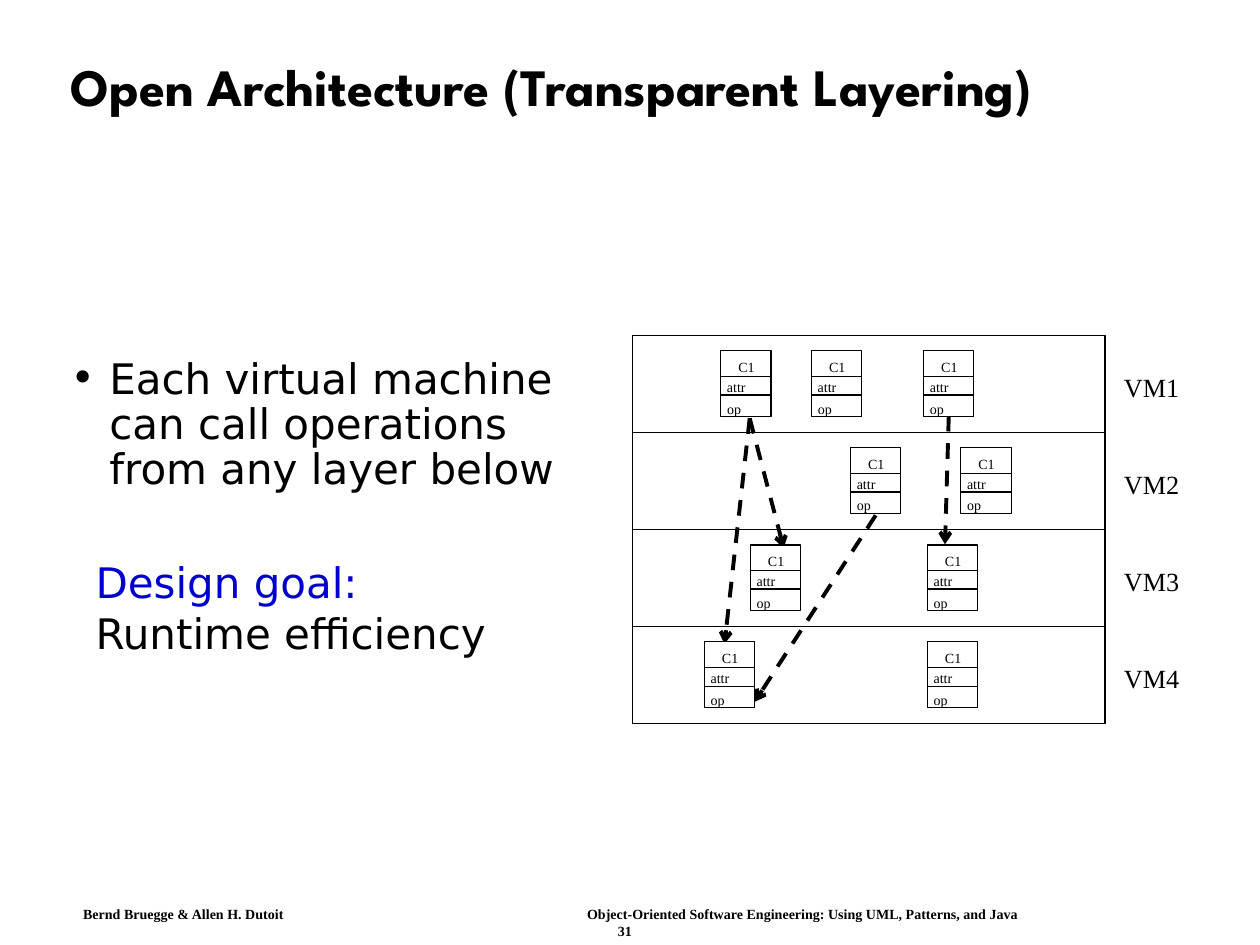
import pptx
import pptx.dml.color
import pptx.enum.dml
import pptx.enum.shapes
import pptx.enum.text
import pptx.oxml.ns
import pptx.util
from lxml import etree

COLUMNS, ROWS = 100, 75
CELL = pptx.util.Inches(10) // COLUMNS
COLORS = {"ink": "000000", "paper": "FFFFFF", "goal": "0000CC"}
SERIF, SANS, DISPLAY = "Times New Roman", "DejaVu Sans", "League Spartan"
ALIGN = pptx.enum.text.PP_ALIGN
FIT = pptx.enum.text.MSO_AUTO_SIZE

LAYER_LEFT, LAYER_TOP, LAYER_WIDTH, LAYER_HEIGHT = 50.2, 26.65, 37.5, 7.7
LAYERS = ["VM1", "VM2", "VM3", "VM4"]
CLASS_WIDTH, CLASS_HEIGHT, CLASS_DROP = 4, 5.2, 1.2
CLASS_COLUMNS = [[57.2, 73.3, 64.4], [67.5, 76.25], [59.55, 73.6], [55.9, 73.6]]
CLASS_DIVIDERS = [3.5, 2]
# text, column and row inside the class box, width, alignment
CLASS_LABELS = [("C1", 1.35, 0.6, 1.4, ALIGN.CENTER),
                ("attr", 0.5, 2.2, 1.6, ALIGN.LEFT),
                ("op", 0.5, 3.9, 1.2, ALIGN.LEFT)]
CALLS = [(75.3, 33, 75, 43.2), (59.5, 33.2, 62.2, 43.5),
         (59.5, 33.2, 57.5, 51.1), (69.5, 40.9, 59.9, 55.7)]


def grid(*cells):
    return [round(cell * CELL) for cell in cells]


def color(name):
    return pptx.dml.color.RGBColor.from_string(COLORS[name])


def style(para, size, font, ink="ink", bold=False):
    for span in para.runs:
        span.font.size = pptx.util.Pt(size)
        span.font.name = font
        span.font.bold = bold
        span.font.color.rgb = color(ink)


def set_insets(frame, left, top, right, bottom):
    (frame.margin_left, frame.margin_top,
     frame.margin_right, frame.margin_bottom) = grid(left, top, right, bottom)


def add_xml(parent, tag, **attributes):
    return etree.SubElement(parent, pptx.oxml.ns.qn(tag), attributes)


def add_text(shapes, area, text, insets=(1, 0.5, 1, 0.5)):
    """Add a wrapping text box and return its frame."""
    frame = shapes.add_textbox(*grid(*area)).text_frame
    frame.word_wrap = True
    frame.text = text
    set_insets(frame, *insets)
    return frame


def add_label(shapes, area, text, size, align=ALIGN.LEFT):
    """Add a one-line text box that hugs its text."""
    frame = add_text(shapes, area, text, (0, 0, 0, 0))
    frame.word_wrap = False
    frame.auto_size = FIT.SHAPE_TO_FIT_TEXT
    frame.paragraphs[0].alignment = align
    style(frame.paragraphs[0], size, SERIF)


def add_box(shapes, area, filled=False):
    box = shapes.add_shape(pptx.enum.shapes.MSO_SHAPE.RECTANGLE, *grid(*area))
    box.shadow.inherit = False
    if filled:
        box.fill.solid()
        box.fill.fore_color.rgb = color("paper")
    else:
        box.fill.background()
    box.line.color.rgb = color("ink")
    box.line.width = pptx.util.Pt(0.62)


def add_line(shapes, ends, width=0.62):
    line = shapes.add_connector(pptx.enum.shapes.MSO_CONNECTOR.STRAIGHT, *grid(*ends))
    line.line.color.rgb = color("ink")
    line.line.width = pptx.util.Pt(width)
    add_xml(line._element.spPr, "a:effectLst")
    return line


def add_call(shapes, ends):
    """Add a dashed arrow from a caller to the class it calls."""
    arrow = add_line(shapes, ends, 2.25)
    arrow.line.dash_style = pptx.enum.dml.MSO_LINE.DASH
    add_xml(arrow.line._get_or_add_ln(), "a:tailEnd", type="arrow")


def add_class(page, left, top):
    shapes = page.shapes.add_group_shape().shapes
    add_box(shapes, (left, top, CLASS_WIDTH, CLASS_HEIGHT), filled=True)
    for drop in CLASS_DIVIDERS:
        add_line(shapes, (left, top + drop, left + CLASS_WIDTH, top + drop))
    for text, across, down, width, align in CLASS_LABELS:
        add_label(shapes, (left + across, top + down, width, 1.3), text, 8, align)


def add_title(page):
    title = page.shapes.title
    title.left, title.top, title.width, title.height = grid(4.6, 2.4, 89.2, 9.4)
    frame = title.text_frame
    frame.text = "Open Architecture (Transparent Layering)"
    frame.word_wrap = True
    frame.auto_size = FIT.NONE
    frame.vertical_anchor = pptx.enum.text.MSO_ANCHOR.MIDDLE
    set_insets(frame, 1, 0.5, 1, 0.5)
    para = frame.paragraphs[0]
    para.alignment = ALIGN.LEFT
    para.line_spacing = 0.9
    style(para, 30, DISPLAY, bold=True)


def add_bullet(page):
    frame = add_text(page.shapes, (4.6, 27.9, 44.5, 12.8),
                     "Each virtual machine can call operations from any layer below")
    para = frame.paragraphs[0]
    para.line_spacing = 0.9
    para.space_before = pptx.util.Pt(9)
    style(para, 24, SANS)
    indent, = grid(3.1)
    properties = para._p.get_or_add_pPr()
    properties.set("marL", str(indent))
    properties.set("indent", str(-indent))
    add_xml(properties, "a:buFont", typeface=SANS)
    add_xml(properties, "a:buChar", char="•")


def add_goal(page):
    frame = add_text(page.shapes, (6.6, 39.7, 44.5, 14.7),
                     "Design goal:\nRuntime efficiency", (1, 4.5, 1, 0.5))
    for para, ink in zip(frame.paragraphs, ("goal", "ink")):
        style(para, 24, SANS, ink)


def add_footer(page):
    frame = add_text(page.shapes, (5.8, 71.45, 87.6, 3.3),
                     "Bernd Bruegge & Allen H. Dutoit\tObject-Oriented Software "
                     "Engineering: Using UML, Patterns, and Java\n31",
                     (0.8, 0.4, 0.8, 0.4))
    credit, number = frame.paragraphs
    stops = add_xml(credit._p.get_or_add_pPr(), "a:tabLst")
    add_xml(stops, "a:tab", pos=str(grid(40)[0]), algn="l")
    number.alignment = ALIGN.CENTER
    for para in (credit, number):
        style(para, 8, SERIF, bold=True)


def add_diagram(page):
    tops = [LAYER_TOP + index * LAYER_HEIGHT for index in range(len(LAYERS))]
    for name, top in zip(LAYERS, tops):
        add_box(page.shapes, (LAYER_LEFT, top, LAYER_WIDTH, LAYER_HEIGHT))
        add_label(page.shapes, (89.2, top + 2.8, 4.4, 2.5), name, 15)
    for ends in CALLS:
        add_call(page.shapes, ends)
    for columns, top in zip(CLASS_COLUMNS, tops):
        for left in columns:
            add_class(page, left, top + CLASS_DROP)


def main():
    deck = pptx.Presentation()
    deck.slide_width, deck.slide_height = grid(COLUMNS, ROWS)
    page = deck.slides.add_slide(deck.slide_layouts.get_by_name("Title Only"))
    add_footer(page)
    add_title(page)
    add_bullet(page)
    add_diagram(page)
    add_goal(page)
    deck.save("out.pptx")


if __name__ == "__main__":
    main()
